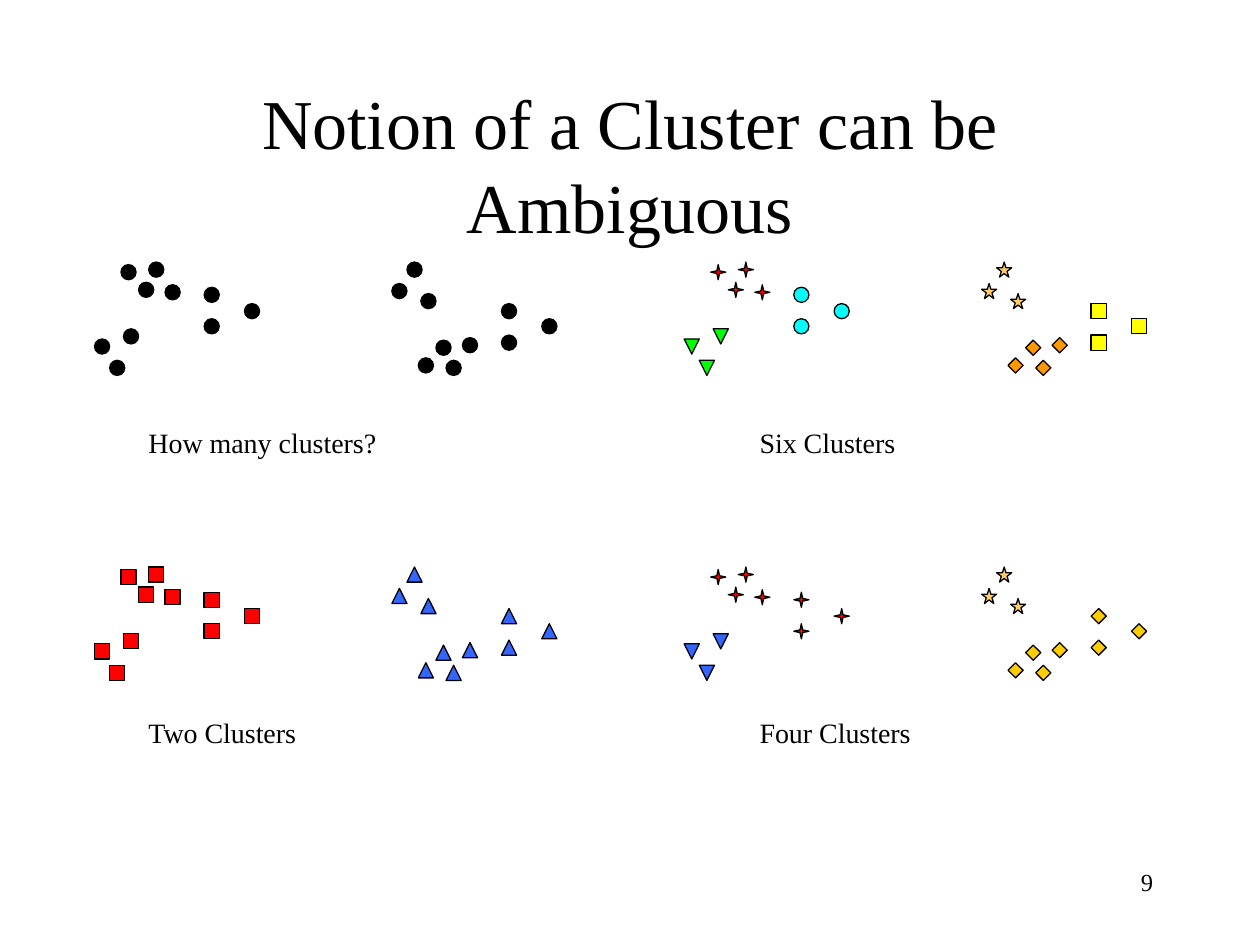
from pptx import Presentation, util as u
from pptx.dml.color import RGBColor
from pptx.enum import shapes, text

KIND = shapes.MSO_SHAPE
FONT, INK = "Times New Roman", "000000"
DOT, GAP, DEPTH = 0.12, 2.36, 0.78  # marker size, cloud spacing, cloud height

# Marker offsets in the left cloud; the right cloud is its upside-down twin.
CLOUD = {
    "quad": [(0.56, 0.18), (0.21, 0.02), (0.43, 0), (0.35, 0.16)],
    "trio": [(0.23, 0.53), (0, 0.61), (0.12, 0.78)],
    "side": [(0.87, 0.2), (1.19, 0.33), (0.87, 0.45)],
}

BLACK = (KIND.OVAL, INK)
RED = (KIND.RECTANGLE, "FF0000")
BLUE = (KIND.ISOSCELES_TRIANGLE, "3366FF")
SPARK = (KIND.STAR_4_POINT, "FF0000")
STAR = (KIND.STAR_5_POINT, "FFCC66")
GOLD = (KIND.DIAMOND, "FFCC00")

# Caption, column, row, then (quad, trio, side) styles of left and right cloud
PANELS = [
    ("How many clusters?", 0, 0, [BLACK] * 3, [BLACK] * 3),
    ("Four Clusters", 1, 1,
     [SPARK, (KIND.FLOWCHART_EXTRACT, "3366FF"), SPARK], [GOLD, STAR, GOLD]),
    ("Two Clusters", 0, 1, [RED] * 3, [BLUE] * 3),
    ("Six Clusters", 1, 0,
     [SPARK, (KIND.ISOSCELES_TRIANGLE, "00FF00"), (KIND.OVAL, "00FFFF")],
     [(KIND.DIAMOND, "FF9900"), STAR, (KIND.RECTANGLE, "FFFF00")]),
]
COLS, ROWS = (0.75, 5.43), (2.08, 4.5)
CAP_X, CAP_Y = (1.08, 5.93), (3.33, 5.63)
POINTED = (KIND.ISOSCELES_TRIANGLE, KIND.FLOWCHART_EXTRACT)


def color(code):
    return RGBColor.from_string(code)


def write(frame, words, size, align):
    frame.word_wrap = True
    para = frame.paragraphs[0]
    para.alignment = align
    run = para.add_run()
    run.text = words
    run.font.name, run.font.size = FONT, u.Pt(size)
    run.font.color.rgb = color(INK)


def label(home, box, words, size, align):
    frame = home.add_textbox(*map(u.Inches, box)).text_frame
    write(frame, words, size, align)


def marker(home, x, y, kind, fill):
    mark = home.add_shape(kind, *map(u.Inches, (x, y, DOT, DOT)))
    mark.shadow.inherit = False
    mark.fill.solid()
    mark.fill.fore_color.rgb = color(fill)
    mark.line.color.rgb = color(INK)
    mark.line.width = u.Pt(0.75)
    if kind == KIND.STAR_4_POINT:
        mark.adjustments[0] = 0.125
    return mark


def cloud(home, left, top, styles, twin):
    for spots, (kind, fill) in zip(CLOUD.values(), styles):
        for x, y in spots:
            mark = marker(home, left + x + GAP * twin,
                          top + (DEPTH - y if twin else y), kind, fill)
            if kind in POINTED and not twin:
                mark.rotation = 180


def main():
    deck = Presentation()
    deck.slide_width, deck.slide_height = u.Inches(10), u.Inches(7.5)
    slide = deck.slides.add_slide(deck.slide_layouts[5])

    label(slide.shapes, (7.17, 6.83, 2.08, 0.5), "9", 14, text.PP_ALIGN.RIGHT)

    title = slide.shapes.title
    title.left, title.top = u.Inches(0.75), u.Inches(0.67)
    title.width, title.height = u.Inches(8.5), u.Inches(1.25)
    title.text_frame.auto_size = text.MSO_AUTO_SIZE.NONE
    title.text_frame.vertical_anchor = text.MSO_ANCHOR.MIDDLE
    write(title.text_frame, "Notion of a Cluster can be Ambiguous", 40,
          text.PP_ALIGN.CENTER)

    for words, col, row, plain, turned in PANELS:
        group = slide.shapes.add_group_shape().shapes
        cloud(group, COLS[col], ROWS[row], turned, True)
        cloud(group, COLS[col], ROWS[row], plain, False)
        label(group, (CAP_X[col], CAP_Y[row], 2.5, 0.37), words, 16,
              text.PP_ALIGN.LEFT)

    deck.save("out.pptx")


if __name__ == "__main__":
    main()
